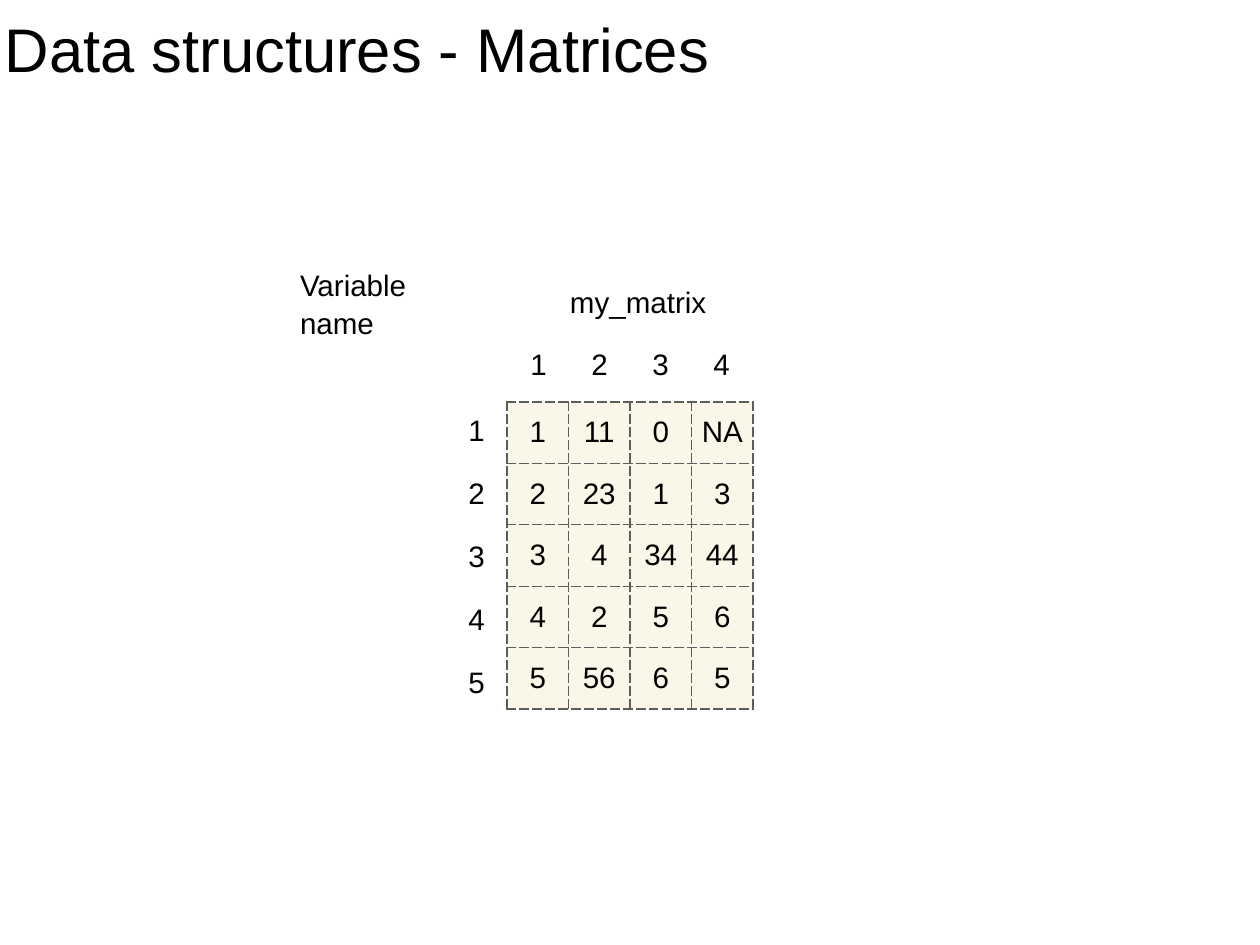
"""Build the slide that explains how a matrix is indexed."""
from lxml.etree import SubElement
from pptx import Presentation
from pptx.dml.color import RGBColor
from pptx.enum.text import MSO_ANCHOR as Anchor, MSO_AUTO_SIZE as AutoSize, PP_ALIGN as Align
from pptx.oxml.ns import qn
from pptx.util import Emu, Pt

PX = 10320
INSET = 5
BLACK, CREAM, GREY = "000000", "FAF7E9", "5D5D5D"
MATRIX = [
    ["1", "11", "0", "NA"],
    ["2", "23", "1", "3"],
    ["3", "4", "34", "44"],
    ["4", "2", "5", "6"],
    ["5", "56", "6", "5"],
]


def px(*lengths):
    """Turn px lengths into EMU."""
    return [Emu(length * PX) for length in lengths]


def color(value):
    """Turn a hex string into a colour."""
    return RGBColor.from_string(value)


def apply(target, values):
    """Set each attribute named in a dict of format values."""
    for name, value in values.items():
        setattr(target, name, value)


def set_margins(target, top=INSET):
    """Set the inner margins of a text frame or table cell."""
    sides = ("left", "top", "right", "bottom")
    apply(target, {f"margin_{side}": px(top if side == "top" else INSET)[0] for side in sides})


def write(frame, text, size=24, align=Align.CENTER, spacing=1.0):
    """Write one formatted paragraph into a text frame."""
    para = frame.paragraphs[0]
    apply(para, {"alignment": align, "line_spacing": spacing})
    span = para.add_run()
    span.text = text
    apply(span.font, {"name": "Arial", "size": Pt(size)})
    span.font.color.rgb = color(BLACK)


def add_title(page, text):
    """Place and fill the title placeholder."""
    title = page.shapes.title
    apply(title, dict(zip(("left", "top", "width", "height"), px(0, 0, 1010, 206))))
    frame = title.text_frame
    apply(frame, {"vertical_anchor": Anchor.TOP, "auto_size": AutoSize.NONE, "word_wrap": True})
    set_margins(frame, top=11)
    write(frame, text, size=50, align=Align.LEFT)


def add_label(page, text, left, top, width=27, wrap=False, **style):
    """Add a text label centred vertically in its box."""
    frame = page.shapes.add_textbox(*px(left, top, width, 44)).text_frame
    apply(frame, {"vertical_anchor": Anchor.MIDDLE, "word_wrap": wrap,
                  "auto_size": AutoSize.SHAPE_TO_FIT_TEXT})
    set_margins(frame)
    write(frame, text, **style)


def add_borders(cell):
    """Draw dashed lines on all four sides of a cell."""
    properties = cell._tc.get_or_add_tcPr()
    for side in ("lnL", "lnR", "lnT", "lnB"):
        line = SubElement(properties, qn(f"a:{side}"), w=str(Pt(1)))
        fill = SubElement(line, qn("a:solidFill"))
        SubElement(fill, qn("a:srgbClr"), val=GREY)
        SubElement(line, qn("a:prstDash"), val="lgDash")


def add_matrix(page, values):
    """Add the matrix as a table with equal cells."""
    table = page.shapes.add_table(len(values), len(values[0]), *px(507, 402, 246, 307)).table
    apply(table, {"first_row": False, "horz_banding": False})
    for row, texts in zip(table.rows, values):
        for cell, text in zip(row.cells, texts):
            add_borders(cell)
            cell.fill.solid()
            cell.fill.fore_color.rgb = color(CREAM)
            cell.vertical_anchor = Anchor.MIDDLE
            set_margins(cell)
            write(cell.text_frame, text)


def main():
    """Build the slide and save it."""
    deck = Presentation()
    apply(deck, dict(zip(("slide_width", "slide_height"), px(1260, 945))))
    page = deck.slides.add_slide(deck.slide_layouts[5])
    add_title(page, "Data structures - Matrices")
    add_matrix(page, MATRIX)
    for column in range(len(MATRIX[0])):
        add_label(page, str(column + 1), 525 + 61 * column, 342)
    for row in range(len(MATRIX)):
        add_label(page, str(row + 1), 463, 408 + 63 * row)
    add_label(page, "my_matrix", 565, 280, width=148, wrap=True, align=Align.LEFT)
    add_label(page, "Variable name", 295, 280, width=197, wrap=True,
              align=Align.LEFT, spacing=1.07)
    deck.save("out.pptx")


if __name__ == "__main__":
    main()
